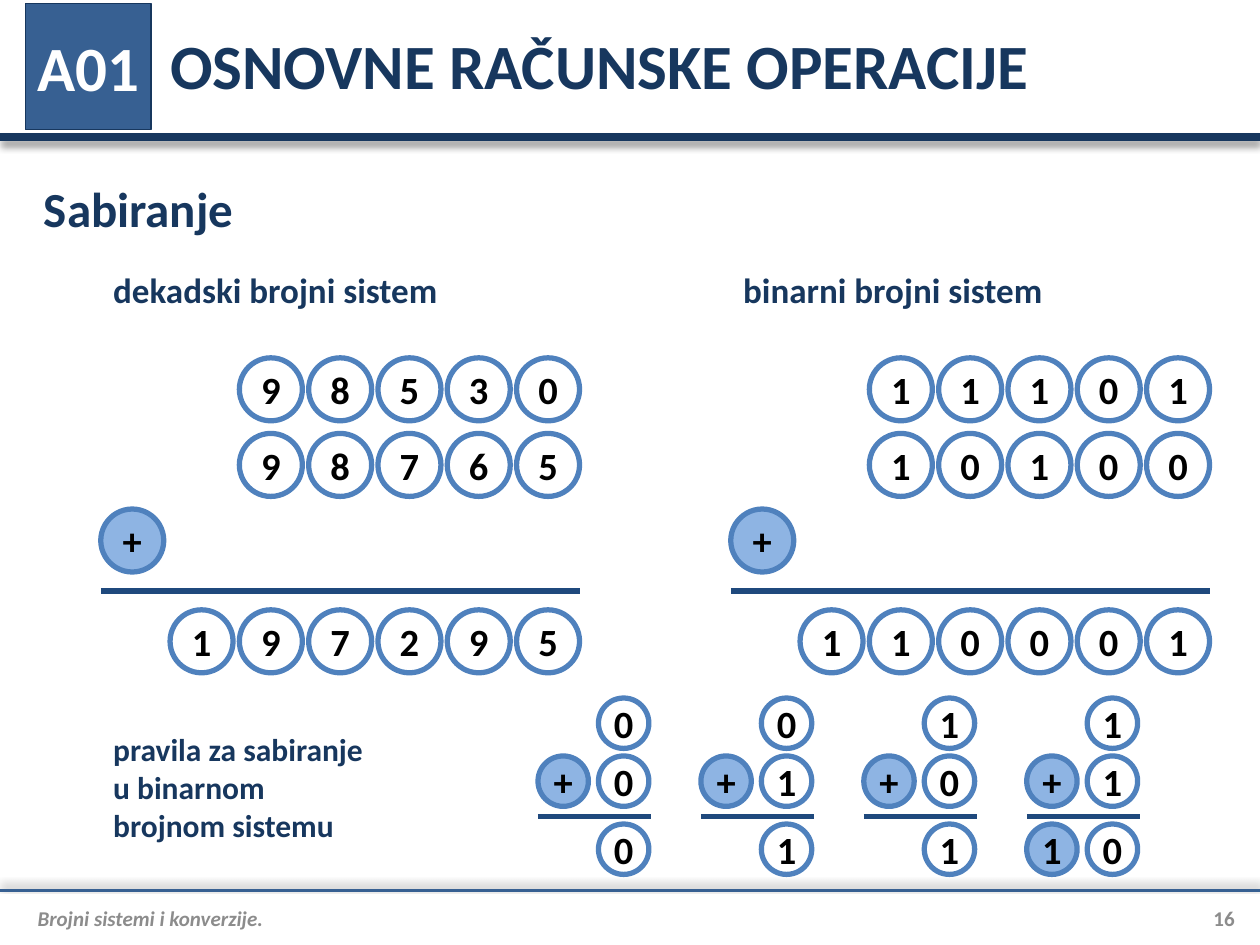
import pptx
import pptx.util
import pptx.dml.color
import pptx.enum.shapes
import pptx.enum.text
import pptx.oxml
import pptx.oxml.ns
from pptx.util import Inches

ALIGN = pptx.enum.text.PP_ALIGN
SHAPE = pptx.enum.shapes.MSO_SHAPE

COLORS = {
    "navy": "17375E", "tag": "376092", "rule": "1F497D", "ring": "4F81BD",
    "accent": "8EB4E3", "grey": "8C8C8C", "black": "000000", "white": "FFFFFF",
}
TITLE = "OSNOVNE RAČUNSKE OPERACIJE"
TAG = "A01"
LABELS = [
    ("Sabiranje", 0.25, 1.4, 9.42, 0.5, 28),
    ("dekadski brojni sistem", 0.8, 2.05, 3.87, 0.5, 20),
    ("binarni brojni sistem", 5.8, 2.05, 3.87, 0.5, 20),
    ("pravila za sabiranje u binarnom brojnom sistemu", 0.8, 5.74, 2.2, 1.01, 18),
]
SUMS = [
    (0.8, "98530", "98765", "197295"),
    (5.8, "11101", "10100", "110001"),
]
RULES = [("0", "0", "0"), ("0", "1", "1"), ("1", "0", "1"), ("1", "1", "10")]
BIG = {"size": 0.5, "pitch": 0.55, "columns": 7, "rows": (2.84, 3.44, 4.84),
       "plus": 4.04, "line": 4.69, "width": 3.8}
SMALL = {"size": 0.4, "pitch": 0.48, "columns": 2, "rows": (5.54, 6, 6.54),
         "plus": 6, "line": 6.48, "width": 0.9}
RULE_LEFT, RULE_STEP = 4.27, 1.293
FOOTER = "Brojni sistemi i konverzije."
PAGE = "16"


def rgb(name):
    return pptx.dml.color.RGBColor.from_string(COLORS[name])


def write(s, text, size, color, align=ALIGN.LEFT, insets=(0, 0, 0, 0), italic=False):
    tf = s.text_frame
    tf.word_wrap = True
    tf.auto_size = pptx.enum.text.MSO_AUTO_SIZE.NONE
    tf.vertical_anchor = pptx.enum.text.MSO_ANCHOR.MIDDLE
    tf.margin_left, tf.margin_top, tf.margin_right, tf.margin_bottom = map(Inches, insets)
    p = tf.paragraphs[0]
    p.alignment = align
    r = p.add_run()
    r.text = text
    r.font.name = "Calibri"
    r.font.size = pptx.util.Pt(size)
    r.font.bold = True
    r.font.italic = italic
    r.font.color.rgb = rgb(color)


def add_text(slide, box, *args, **kwargs):
    write(slide.shapes.add_textbox(*map(Inches, box)), *args, **kwargs)


def add_filled(slide, kind, box, fill, line, weight):
    s = slide.shapes.add_shape(kind, *map(Inches, box))
    s.shadow.inherit = False
    if fill:
        s.fill.solid()
        s.fill.fore_color.rgb = rgb(fill)
    else:
        s.fill.background()
    s.line.color.rgb = rgb(line)
    s.line.width = pptx.util.Pt(weight)
    return s


def add_line(slide, left, right, y, color, weight, shadow_angle=None):
    c = slide.shapes.add_connector(
        pptx.enum.shapes.MSO_CONNECTOR.STRAIGHT,
        Inches(left), Inches(y), Inches(right), Inches(y))
    c.line.color.rgb = rgb(color)
    c.line.width = pptx.util.Pt(weight)
    shadow = "" if shadow_angle is None else (
        f'<a:outerShdw blurRad="{pptx.util.Pt(4)}" dist="{pptx.util.Pt(3)}" '
        f'dir="{shadow_angle * 60000}" rotWithShape="0"><a:srgbClr val="{COLORS["black"]}">'
        '<a:alpha val="40000"/></a:srgbClr></a:outerShdw>')
    c._element.spPr.append(pptx.oxml.parse_xml(
        f'<a:effectLst {pptx.oxml.ns.nsdecls("a")}>{shadow}</a:effectLst>'))


def add_circle(slide, x, y, size, text, fill=None):
    s = add_filled(slide, SHAPE.OVAL, (x, y, size, size), fill, "ring", 3)
    write(s, text, 22, "black", ALIGN.CENTER)


def add_sum(slide, left, numbers, grid, carry_fill=None):
    add_line(slide, left, left + grid["width"], grid["line"], "rule", 3)
    for number, y in zip(numbers, grid["rows"]):
        first = grid["columns"] - len(number)
        for i, digit in enumerate(number):
            is_carry = len(number) > len(numbers[0]) and i == 0
            add_circle(slide, left + (first + i) * grid["pitch"], y, grid["size"],
                       digit, carry_fill if is_carry else None)
    add_circle(slide, left, grid["plus"], grid["size"], "+", "accent")


def main():
    prs = pptx.Presentation()
    prs.slide_width, prs.slide_height = Inches(10), Inches(7.5)
    slide = prs.slides.add_slide(prs.slide_layouts[5])

    add_line(slide, 0, 10, 1.09, "navy", 4.5, 90)
    add_line(slide, 0, 10, 7.07, "tag", 1.5, 270)

    title = slide.shapes.title
    title.left, title.top, title.width, title.height = map(Inches, (1.25, 0.01, 8.55, 1))
    text_insets = (0.1, 0.05, 0.1, 0.05)
    write(title, TITLE, 36, "navy", insets=text_insets)
    tag = add_filled(slide, SHAPE.RECTANGLE, (0.2, 0.03, 1, 1), "tag", "navy", 0.75)
    write(tag, TAG, 36, "white", ALIGN.CENTER)

    for text, x, y, w, h, size in LABELS:
        add_text(slide, (x, y, w, h), text, size, "navy", insets=text_insets)
    for left, *numbers in SUMS:
        add_sum(slide, left, numbers, BIG)
    for i, numbers in enumerate(RULES):
        add_sum(slide, RULE_LEFT + i * RULE_STEP, numbers, SMALL, "accent")

    add_text(slide, (0.2, 7.11, 9.1, 0.35), FOOTER, 12, "grey",
             insets=(0.1, 0, 0, 0), italic=True)
    add_text(slide, (9.3, 7.11, 0.5, 0.35), PAGE, 12, "grey", ALIGN.RIGHT)
    prs.save("out.pptx")


if __name__ == "__main__":
    main()
